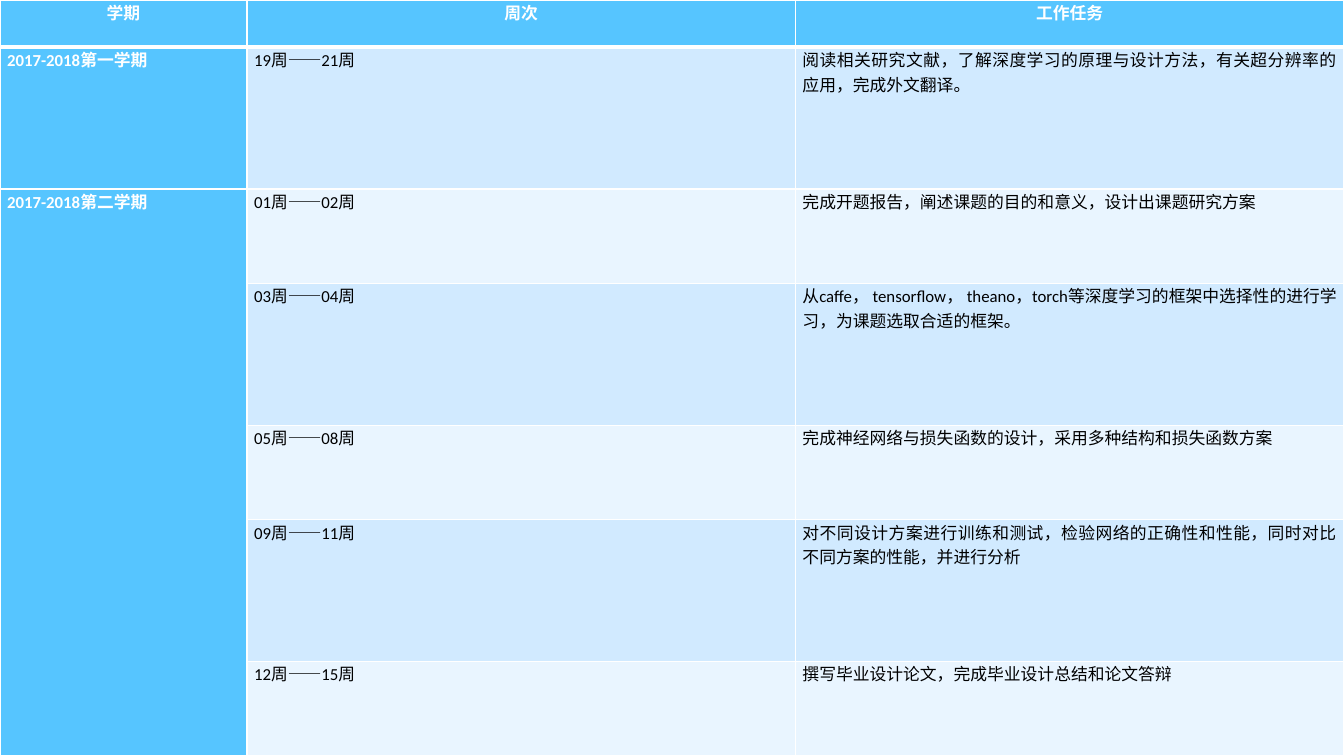
from lxml import etree
from pptx import Presentation
from pptx.dml.color import RGBColor
from pptx.enum.text import PP_ALIGN as Align
from pptx.oxml.ns import qn
from pptx.util import Inches, Pt

WHITE = RGBColor(0xFF, 0xFF, 0xFF)
BLACK = RGBColor(0x00, 0x00, 0x00)
BLUE = RGBColor(0x56, 0xC5, 0xFF)
BANDS = [RGBColor(0xE9, 0xF5, 0xFF), RGBColor(0xD1, 0xEA, 0xFF)]

WIDTH, HEIGHT = 13.33, 7.5
COLUMN_WIDTHS = [2.45, 5.44, 5.44]
ROW_UNITS = [1, 3, 2, 3, 2, 3, 2]
SCHEDULE = [
    ("学期", "周次", "工作任务"),
    ("2017-2018第一学期", "19周——21周",
     "阅读相关研究文献，了解深度学习的原理与设计方法，有关超分辨率的应用，完成外文翻译。"),
    ("2017-2018第二学期", "01周——02周",
     "完成开题报告，阐述课题的目的和意义，设计出课题研究方案"),
    ("", "03周——04周",
     "从caffe， tensorflow， theano，torch等深度学习的框架中选择性的进行学习，为课题选取合适的框架。"),
    ("", "05周——08周",
     "完成神经网络与损失函数的设计，采用多种结构和损失函数方案"),
    ("", "09周——11周",
     "对不同设计方案进行训练和测试，检验网络的正确性和性能，同时对比不同方案的性能，并进行分析"),
    ("", "12周——15周", "撰写毕业设计论文，完成毕业设计总结和论文答辩"),
]


def set_borders(cell, top, bottom):
    """Draw white cell borders, with the given top and bottom widths in points."""
    tcPr = cell._tc.get_or_add_tcPr()
    widths = {"a:lnL": 1, "a:lnR": 1, "a:lnT": top, "a:lnB": bottom}
    for i, (tag, width) in enumerate(widths.items()):
        ln = etree.Element(qn(tag), w=str(Pt(width)))
        fill = etree.SubElement(ln, qn("a:solidFill"))
        etree.SubElement(fill, qn("a:srgbClr"), val=str(WHITE))
        tcPr.insert(i, ln)


def style_cell(cell, row, col):
    """Set the fill, borders, margins and font for a cell by its place."""
    heading = row == 0 or col == 0
    cell.fill.solid()
    cell.fill.fore_color.rgb = BLUE if heading else BANDS[row % 2]
    set_borders(cell, 3 if row == 1 else 1, 3 if row == 0 else 1)
    cell.margin_left = cell.margin_right = Inches(0.07)
    cell.margin_top = cell.margin_bottom = 0
    p = cell.text_frame.paragraphs[0]
    p.alignment = Align.CENTER if row == 0 else Align.JUSTIFY
    p.font.size = Pt(12)
    for r in p.runs:
        r.font.name = "Calibri"
        r.font.size = Pt(12)
        r.font.bold = heading
        r.font.color.rgb = WHITE if heading else BLACK


def add_schedule(s, left, top, width, height):
    """Fill the given box with the semester schedule table."""
    frame = s.shapes.add_table(len(SCHEDULE), len(COLUMN_WIDTHS), Inches(left),
                               Inches(top), Inches(width), Inches(height))
    table = frame.table
    for column, share in zip(table.columns, COLUMN_WIDTHS):
        column.width = Inches(width * share / sum(COLUMN_WIDTHS))
    for row, units in zip(table.rows, ROW_UNITS):
        row.height = Inches(height * units / sum(ROW_UNITS))
    for i, texts in enumerate(SCHEDULE):
        for j, text in enumerate(texts):
            cell = table.cell(i, j)
            cell.text_frame.text = text
            style_cell(cell, i, j)
    table.cell(2, 0).merge(table.cell(len(SCHEDULE) - 1, 0))


def main():
    """Build the schedule slide and save it."""
    prs = Presentation()
    prs.slide_width, prs.slide_height = Inches(WIDTH), Inches(HEIGHT)
    s = prs.slides.add_slide(prs.slide_layouts[6])
    s.background.fill.solid()
    s.background.fill.fore_color.rgb = BLACK
    add_schedule(s, 0, 0, WIDTH, HEIGHT)
    prs.save("out.pptx")


if __name__ == "__main__":
    main()
